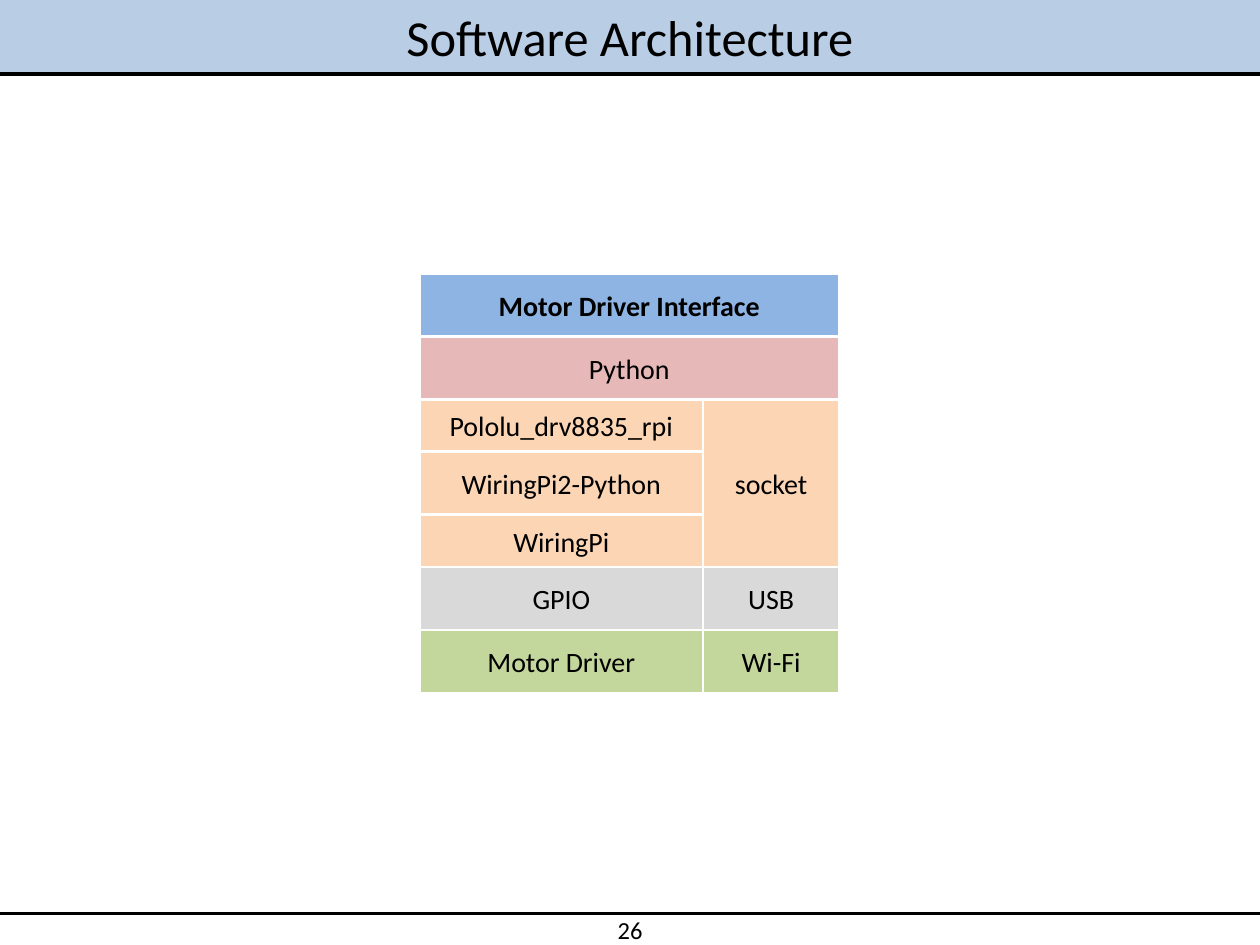
import itertools

import pptx
import pptx.util
from lxml import etree
from pptx.dml.color import RGBColor
from pptx.enum.shapes import MSO_CONNECTOR, MSO_SHAPE
from pptx.enum.text import MSO_ANCHOR, PP_ALIGN
from pptx.oxml.ns import qn
from pptx.util import Inches, Pt

COLORS = {
    "text": "000000", "gap": "FFFFFF", "band": "B9CDE5",
    "interface": "8EB4E3", "language": "E6B9B8", "library": "FCD5B5",
    "bus": "D9D9D9", "device": "C3D69B",
}
FONT = "Calibri"
SLIDE_W, SLIDE_H = 10, 7.5


def rgb(name):
    return RGBColor.from_string(COLORS[name])


def add_text(tf, text, size, bold=False):
    p = tf.paragraphs[0]
    p.alignment = PP_ALIGN.CENTER
    r = p.add_run()
    r.text = text
    r.font.name, r.font.size, r.font.bold = FONT, Pt(size), bold
    r.font.color.rgb = rgb("text")


def add_rule(s, y, weight):
    """Draw a line across the whole slide."""
    line = s.shapes.add_connector(
        MSO_CONNECTOR.STRAIGHT, 0, Inches(y), Inches(SLIDE_W), Inches(y))
    line.line.color.rgb = rgb("text")
    line.line.width = Pt(weight)
    etree.SubElement(line._element.spPr, qn("a:effectLst"))


def add_header(s, text, height):
    sp = s.shapes.title
    sp.left, sp.top = 0, 0
    sp.width, sp.height = Inches(SLIDE_W), Inches(height)
    sp.fill.solid()
    sp.fill.fore_color.rgb = rgb("band")
    sp.text_frame.vertical_anchor = MSO_ANCHOR.MIDDLE
    add_text(sp.text_frame, text, 28.8)
    add_rule(s, height + 0.01, 2.25)


def add_footer(s, number, top):
    add_rule(s, top, 2)
    width = 0.72
    sp = s.shapes.add_textbox(Inches((SLIDE_W - width) / 2), Inches(top + 0.01),
                              Inches(width), Inches(0.24))
    tf = sp.text_frame
    tf.word_wrap = True
    tf.margin_top = tf.margin_bottom = 0
    add_text(tf, number, 14)


def add_layer(group, text, fill, left, top, width, height, bold=False):
    sp = group.shapes.add_shape(MSO_SHAPE.RECTANGLE, Inches(left), Inches(top),
                                Inches(width), Inches(height))
    sp.shadow.inherit = False
    sp.fill.solid()
    sp.fill.fore_color.rgb = rgb(fill)
    sp.line.color.rgb = rgb("gap")
    sp.line.width = Pt(1.5)
    tf = sp.text_frame
    tf.word_wrap = True
    tf.vertical_anchor = MSO_ANCHOR.MIDDLE
    tf.margin_left = tf.margin_right = Inches(0.02)
    add_text(tf, text, 16, bold)


def add_stack(s, left, top, width, height):
    """Stack seven rows; two library rows share what the tall rows leave."""
    tall = 0.5
    short = (height - 5 * tall) / 2
    heights = [tall, tall, short, tall, short, tall, tall]
    edges = [top + y for y in itertools.accumulate(heights, initial=0)]
    main_w = 2.25
    columns = {"full": (left, width), "main": (left, main_w),
               "side": (left + main_w, width - main_w)}
    # text, fill, column, first row, row after the last
    layers = [
        ("Motor Driver Interface", "interface", "full", 0, 1),
        ("Python", "language", "full", 1, 2),
        ("Pololu_drv8835_rpi", "library", "main", 2, 3),
        ("WiringPi2-Python", "library", "main", 3, 4),
        ("WiringPi", "library", "main", 4, 5),
        ("GPIO", "bus", "main", 5, 6),
        ("Motor Driver", "device", "main", 6, 7),
        ("socket", "library", "side", 2, 5),
        ("USB", "bus", "side", 5, 6),
        ("Wi-Fi", "device", "side", 6, 7),
    ]
    group = s.shapes.add_group_shape()
    for text, fill, column, first, end in layers:
        x, w = columns[column]
        add_layer(group, text, fill, x, edges[first], w,
                  edges[end] - edges[first], bold=fill == "interface")


def main():
    prs = pptx.Presentation()
    prs.slide_width, prs.slide_height = Inches(SLIDE_W), Inches(SLIDE_H)
    s = prs.slides.add_slide(prs.slide_layouts.get_by_name("Title Only"))
    add_header(s, "Software Architecture", 0.58)
    add_stack(s, 3.33, 2.17, 3.33, 3.33)
    add_footer(s, "26", 7.25)
    prs.save("out.pptx")


if __name__ == "__main__":
    main()
